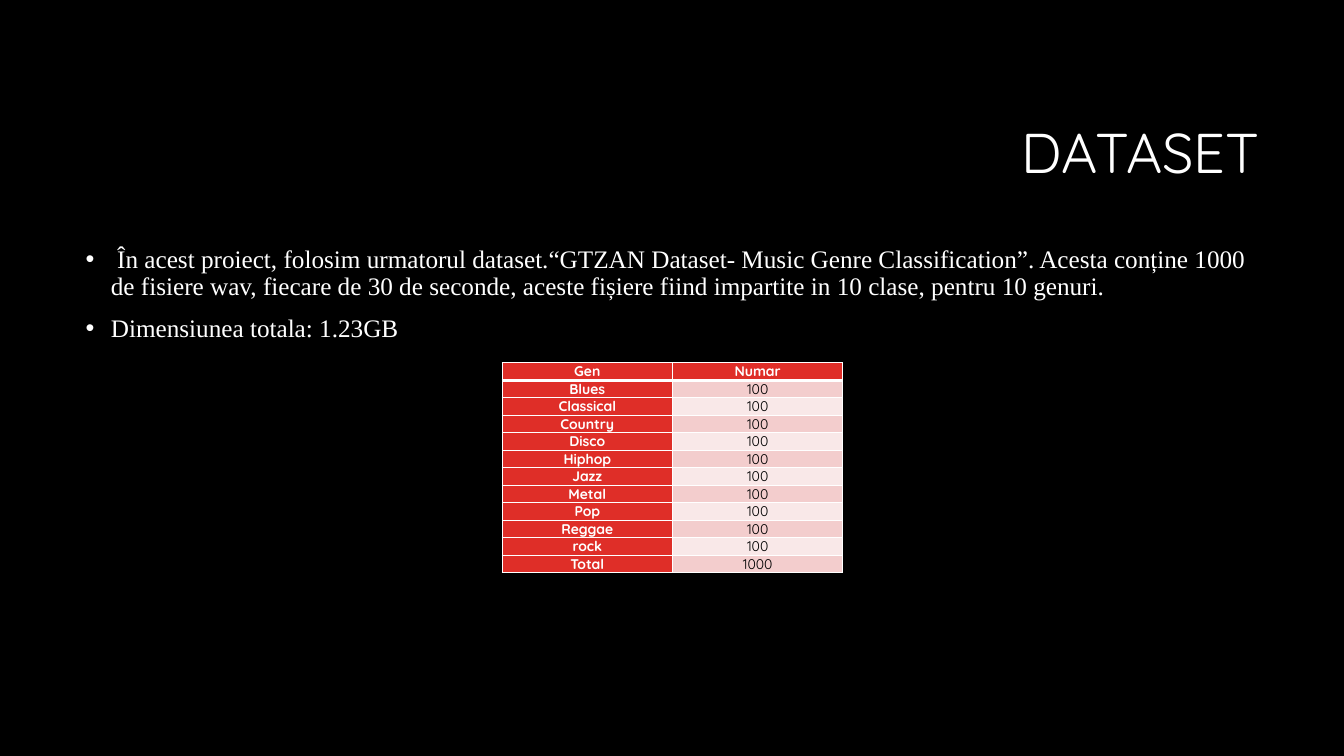
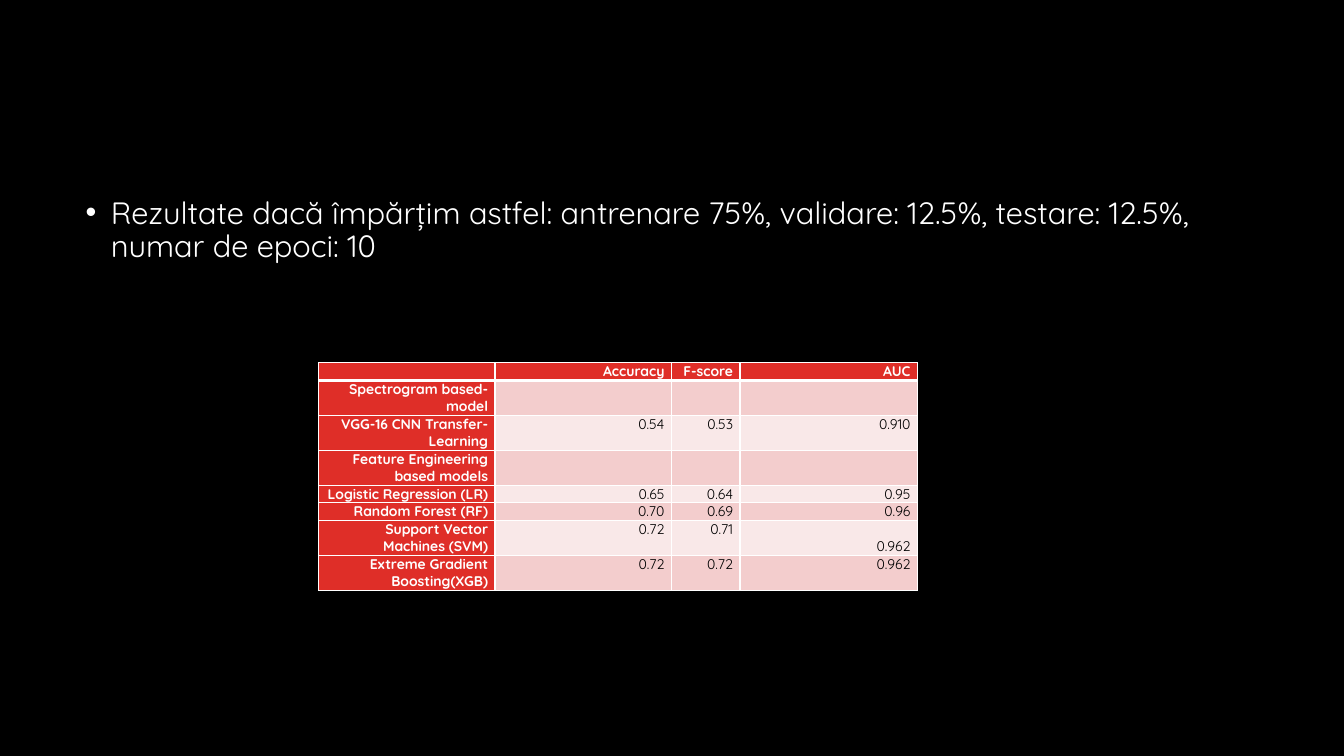
from dataclasses import dataclass

from lxml import etree
from pptx import Presentation
from pptx.dml.color import RGBColor
from pptx.enum import text as tx
from pptx.oxml import ns
from pptx.util import Inches, Pt


@dataclass(frozen=True)
class Theme:
    back: str = "000000"
    text: str = "FFFFFF"
    ink: str = "000000"
    head: str = "DF2E28"
    bands: tuple = ("F3CDCD", "F9E8E8")
    sans: str = "Quicksand"
    serif: str = "Times New Roman"
    title: int = 40
    cell: int = 10
    thin: int = 1
    thick: int = 3


@dataclass(frozen=True)
class Box:
    left: float
    top: float
    width: float
    height: float


@dataclass(frozen=True)
class Grid:
    left: float
    top: float
    cols: tuple
    rows: list
    align: tx.PP_ALIGN
    low: tuple = ()  # (row, column) of cells set at the bottom


THEME = Theme()
ROW = 0.17

GENRES = ("Blues", "Classical", "Country", "Disco", "Hiphop", "Jazz",
          "Metal", "Pop", "Reggae", "rock")
COUNTS = Grid(
    4.98, 3.6, (1.69, 1.69),
    [("Gen", "Numar"), *((name, "100") for name in GENRES), ("Total", "1000")],
    tx.PP_ALIGN.CENTER)
SCORES = Grid(
    3.16, 3.6, (1.75, 1.75, 0.68, 1.76),
    [("", "Accuracy", "F-score", "AUC"),
     ("Spectrogram based-model", "", "", ""),
     ("VGG-16 CNN Transfer-Learning", "0.54", "0.53", "0.910"),
     ("Feature Engineering based models", "", "", ""),
     ("Logistic Regression (LR)", "0.65", "0.64", "0.95"),
     ("Random Forest (RF)", "0.70", "0.69", "0.96"),
     ("Support Vector Machines (SVM)", "0.72", "0.71", "0.962"),
     ("Extreme Gradient Boosting(XGB)", "0.72", "0.72", "0.962")],
    tx.PP_ALIGN.RIGHT, low=((6, 3),))


def style(par, face: str, size: int, color: str, bold: bool = False) -> None:
    font = par.font
    font.name, font.size, font.bold = face, Pt(size), bold
    font.color.rgb = RGBColor.from_string(color)


def place(shape, box: Box) -> None:
    shape.left, shape.top = Inches(box.left), Inches(box.top)
    shape.width, shape.height = Inches(box.width), Inches(box.height)
    shape.text_frame.auto_size = tx.MSO_AUTO_SIZE.NONE


def add_title(slide, words: str) -> None:
    shape = slide.shapes.title
    place(shape, Box(3.17, 0.84, 9.42, 1.41))
    shape.text_frame.text = words
    par = shape.text_frame.paragraphs[0]
    par.alignment, par.line_spacing = tx.PP_ALIGN.RIGHT, 0.9
    style(par, THEME.sans, THEME.title, THEME.text)


def add_list(slide, box: Box, items: list[str], face: str, size: int) -> None:
    shape = slide.placeholders[1]
    place(shape, box)
    frame = shape.text_frame
    frame.text = "\n".join(items)
    for par in frame.paragraphs:
        par.line_spacing, par.space_before = 0.9, Pt(10)
        style(par, face, size, THEME.text)
        props = par._p.get_or_add_pPr()
        props.set("marL", str(Inches(0.25)))
        props.set("indent", str(Inches(-0.25)))


def add_edges(cell, row: int) -> None:
    """Rule all four sides, with a thick line under the header row."""
    wide = {"T": row == 1, "B": row == 0}
    props = cell._tc.get_or_add_tcPr()
    for at, side in enumerate("LRTB"):
        line = etree.Element(ns.qn(f"a:ln{side}"))
        width = THEME.thick if wide.get(side) else THEME.thin
        line.set("w", str(Pt(width)))
        fill = etree.SubElement(line, ns.qn("a:solidFill"))
        etree.SubElement(fill, ns.qn("a:srgbClr")).set("val", THEME.text)
        props.insert(at, line)


def add_grid(slide, grid: Grid) -> None:
    count = len(grid.rows)
    table = slide.shapes.add_table(
        count, len(grid.cols), Inches(grid.left), Inches(grid.top),
        Inches(sum(grid.cols)), Inches(ROW * count)).table
    for col, width in zip(table.columns, grid.cols):
        col.width = Inches(width)
    for r, words in enumerate(grid.rows):
        for c, word in enumerate(words):
            cell = table.cell(r, c)
            head = r == 0 or c == 0
            cell.margin_left = cell.margin_right = Inches(0.07)
            cell.margin_top = cell.margin_bottom = 0
            if (r, c) in grid.low:
                cell.vertical_anchor = tx.MSO_ANCHOR.BOTTOM
            cell.fill.solid()
            cell.fill.fore_color.rgb = RGBColor.from_string(
                THEME.head if head else THEME.bands[(r - 1) % 2])
            add_edges(cell, r)
            cell.text = word
            par = cell.text_frame.paragraphs[0]
            par.alignment = grid.align
            style(par, THEME.sans, THEME.cell,
                  THEME.text if head else THEME.ink, head)
            if not word:
                end = etree.SubElement(par._p, ns.qn("a:endParaRPr"))
                end.set("sz", str(THEME.cell * 100))


def add_data(deck) -> None:
    slide = deck.slides.add_slide(deck.slide_layouts[1])
    add_title(slide, "DATASET")
    add_list(slide, Box(0.75, 2.4, 11.83, 4.4), [
        " În acest proiect, folosim urmatorul dataset.“GTZAN Dataset- Music "
        "Genre Classification”. Acesta conține 1000 de fisiere wav, fiecare "
        "de 30 de seconde, aceste fișiere fiind impartite in 10 clase, "
        "pentru 10 genuri.",
        "Dimensiunea totala: 1.23GB"], THEME.serif, 18)
    add_grid(slide, COUNTS)


def add_results(deck) -> None:
    slide = deck.slides.add_slide(deck.slide_layouts[1])
    title = slide.shapes.title._element
    title.getparent().remove(title)
    add_list(slide, Box(0.75, 1.91, 11.83, 4.89), [
        "Rezultate dacă împărțim astfel: antrenare 75%, validare: 12.5%, "
        "testare: 12.5%, numar de epoci: 10"], THEME.sans, 22)
    add_grid(slide, SCORES)


def main() -> None:
    deck = Presentation()
    deck.slide_width, deck.slide_height = Inches(13.33), Inches(7.5)
    back = deck.slide_master.background.fill
    back.solid()
    back.fore_color.rgb = RGBColor.from_string(THEME.back)
    add_data(deck)
    add_results(deck)
    deck.save("out.pptx")


if __name__ == "__main__":
    main()
